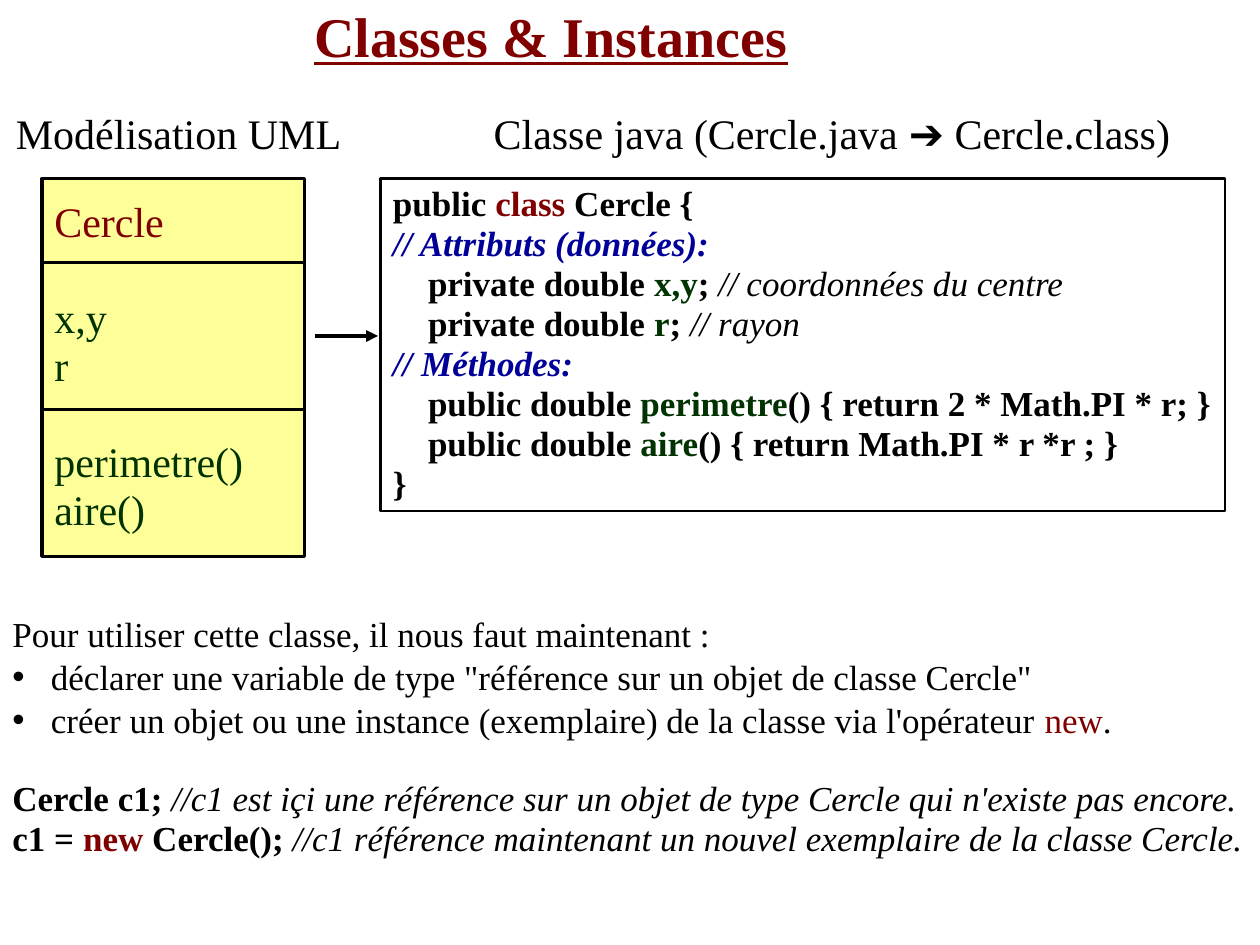
from lxml.etree import SubElement
from pptx import Presentation
from pptx.dml.color import RGBColor
from pptx.enum.shapes import MSO_CONNECTOR, MSO_SHAPE
from pptx.enum.text import MSO_ANCHOR as Anchor, PP_ALIGN as Align
from pptx.oxml.ns import qn
from pptx.util import Pt

BLACK, RED, BLUE, GREEN, YELLOW = "000000", "800000", "000099", "003300", "FFFF99"
SERIF = "Times New Roman"


def rgb(code):
    return RGBColor.from_string(code)


def write(shape, size, lines, wrap=False, anchor=Anchor.TOP):
    """Fill a shape with lines of (text, colour, style); style holds b, i, u or a (Arial)."""
    frame = shape.text_frame
    frame.word_wrap = wrap
    frame.vertical_anchor = anchor
    for number, pieces in enumerate(lines):
        line = frame.paragraphs[0] if number == 0 else frame.add_paragraph()
        line.alignment = Align.LEFT
        line.line_spacing = 0.95
        line.font.size = Pt(size)
        for text, colour, style in pieces:
            run = line.add_run()
            run.text = text
            run.font.name = "Arial" if "a" in style else SERIF
            run.font.color.rgb = rgb(colour)
            run.font.bold = "b" in style
            run.font.italic = "i" in style
            run.font.underline = "u" in style
    return frame.paragraphs


deck = Presentation()
deck.slide_width, deck.slide_height = Pt(720), Pt(540)
slide = deck.slides.add_slide(deck.slide_layouts[6])
shapes = slide.shapes

# Java code
code = shapes.add_shape(MSO_SHAPE.RECTANGLE, Pt(217.5), Pt(102), Pt(482.5), Pt(190))
code.shadow.inherit = False
code.fill.background()
code.line.color.rgb = rgb(BLACK)
code.line.width = Pt(1.5)
code_lines = write(code, 20, [
    [("public ", BLACK, "b"), ("class", RED, "b"), (" Cercle {", BLACK, "b")],
    [("// Attributs (données):", BLUE, "bi")],
    [("private double ", BLACK, "b"), ("x,y", GREEN, "b"), ("; ", BLACK, "b"),
     ("// coordonnées du centre", BLACK, "i")],
    [("private double ", BLACK, "b"), ("r", GREEN, "b"), ("; ", BLACK, "b"),
     ("// rayon", BLACK, "i")],
    [("// Méthodes:", BLUE, "bi")],
    [("public double ", BLACK, "b"), ("perimetre", GREEN, "b"),
     ("() { return 2 * Math.PI * r; }", BLACK, "b")],
    [("public double ", BLACK, "b"), ("aire", GREEN, "b"),
     ("() { return Math.PI * r *r ; }", BLACK, "b")],
    [("}", BLACK, "b")],
])
for member in (2, 3, 5, 6):
    code_lines[member]._p.get_or_add_pPr().set("marL", str(Pt(20)))

# Usage notes
usage = shapes.add_textbox(Pt(0), Pt(348), Pt(718), Pt(193))
usage_lines = write(usage, 20, [
    [("Pour utiliser cette classe, il nous faut maintenant :", BLACK, "")],
    [('déclarer une variable de type "référence sur un objet de classe Cercle"', BLACK, "")],
    [("créer un objet ou une instance (exemplaire) de la classe via l'opérateur ", BLACK, ""),
     ("new", RED, ""), (".", BLACK, "")],
    [("Cercle c1; ", BLACK, "b"),
     ("//c1 est içi une référence sur un objet de type Cercle qui n'existe pas encore.",
      BLACK, "i")],
    [("c1 = ", BLACK, "b"), ("new", RED, "b"), (" Cercle(); ", BLACK, "b"),
     ("//c1 référence maintenant un nouvel exemplaire de la classe Cercle.", BLACK, "i")],
], wrap=True)
for step in usage_lines[1:3]:
    step.line_spacing = 1.02
    properties = step._p.get_or_add_pPr()
    properties.set("marL", str(Pt(22)))
    properties.set("indent", str(-Pt(22)))
    SubElement(properties, qn("a:buFont"), typeface="Arial")
    SubElement(properties, qn("a:buChar"), char="•")
usage_lines[3].space_before = Pt(22)

# UML class
uml = shapes.add_shape(MSO_SHAPE.RECTANGLE, Pt(24), Pt(102), Pt(150), Pt(216))
uml.shadow.inherit = False
uml.fill.solid()
uml.fill.fore_color.rgb = rgb(YELLOW)
uml.line.color.rgb = rgb(BLACK)
uml.line.width = Pt(1.75)
uml_lines = write(uml, 24, [
    [("Cercle", RED, "")],
    [("x,y", GREEN, "")],
    [("r", GREEN, "")],
    [("perimetre()", GREEN, "")],
    [("aire()", GREEN, "")],
], anchor=Anchor.MIDDLE)
for section in (1, 3):
    uml_lines[section].space_before = Pt(27.5)

# Two dividers of the UML class, then the arrow to the code
for left, right, y, has_head in ((24, 174, 150, False), (24, 174, 234, False),
                                 (180, 216, 192, True)):
    rule = shapes.add_connector(MSO_CONNECTOR.STRAIGHT, Pt(left), Pt(y), Pt(right), Pt(y))
    rule.line.color.rgb = rgb(BLACK)
    rule.line.width = Pt(2.25)
    if has_head:
        SubElement(rule.line._get_or_add_ln(), qn("a:tailEnd"), type="triangle")
    SubElement(rule._element.spPr, qn("a:effectLst"))

# Headings
for left, top, width, height, size, pieces in (
    (2, 60, 206, 34.5, 24, [("Modélisation UML", BLACK, "")]),
    (275, 60, 408, 34.5, 24, [("Classe java (Cercle.java ", BLACK, ""), ("➔", BLACK, "a"),
                              (" Cercle.class)", BLACK, "")]),
    (172.5, 0, 288, 44, 32, [("Classes & Instances", RED, "bu")]),
):
    heading = shapes.add_textbox(Pt(left), Pt(top), Pt(width), Pt(height))
    write(heading, size, [pieces])

deck.save("out.pptx")
